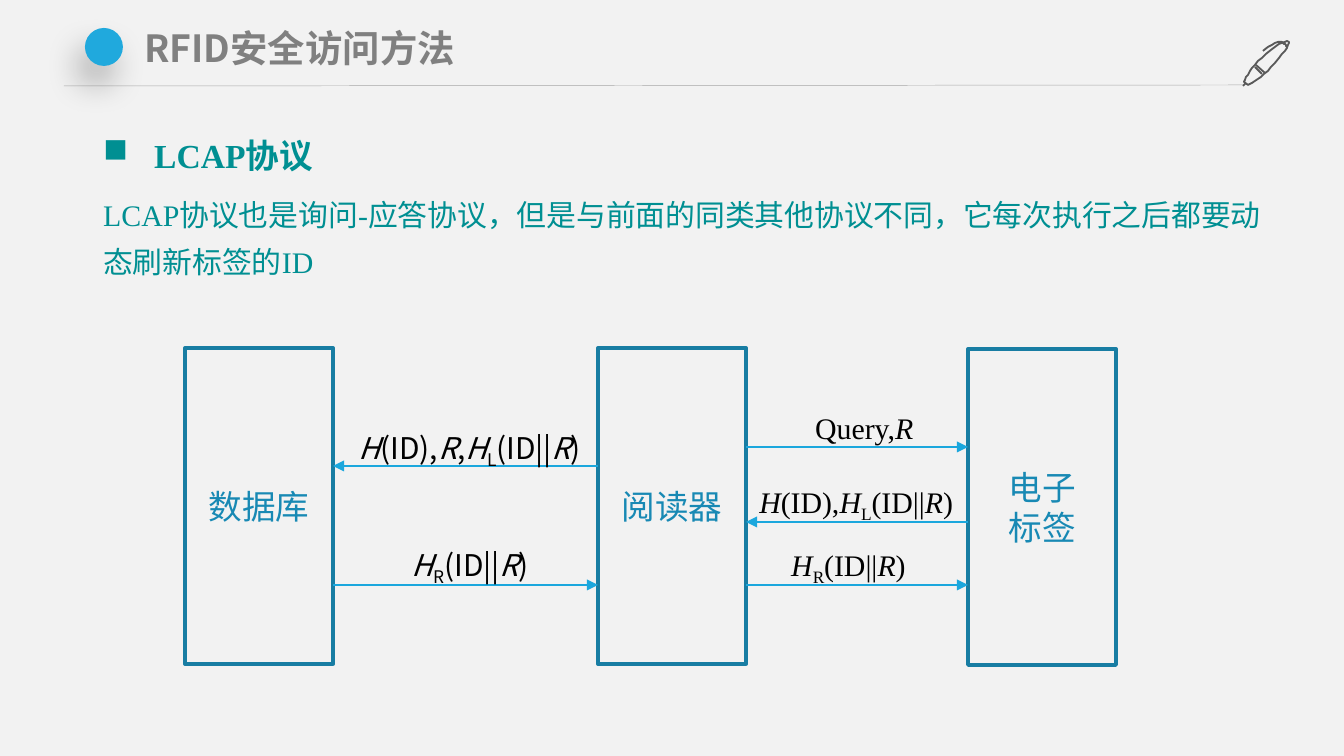
import pptx
import pptx.util
import pptx.dml.color
import pptx.enum.shapes
import pptx.enum.text
import pptx.oxml
import pptx.oxml.ns

SCALE = 914400 / 134.4  # EMU in one px
COLORS = {
    "page": "F2F2F2", "rule": "A6A6A6", "pen": "595959", "dot": "20A9DD",
    "title": "808080", "body": "008F92", "border": "187DA3",
    "node": "1889B4", "arrow": "1BA7DD", "label": "000000",
}
SANS, SERIF = "Noto Sans CJK SC", "Times New Roman"
CENTER = pptx.enum.text.PP_ALIGN.CENTER
LEFT = pptx.enum.text.PP_ALIGN.LEFT
SHAPES = pptx.enum.shapes.MSO_SHAPE

# Message pieces: (text, style)
HASH_ID = [("H", "italic"), ("(ID),", "")]
ID_AND_R = [("(ID||", ""), ("R", "italic"), (")", "")]
HASH_LEFT = [("H", "italic"), ("L", "sub")] + ID_AND_R
HASH_RIGHT = [("H", "italic"), ("R", "sub")] + ID_AND_R


def px(value):
    return pptx.util.Emu(round(value * SCALE))


def rgb(name):
    return pptx.dml.color.RGBColor.from_string(COLORS[name])


def add_xml(parent, xml):
    namespaces = pptx.oxml.ns.nsdecls("a")
    parent.append(pptx.oxml.parse_xml(xml.replace(" ", f" {namespaces} ", 1)))


def style_span(span, size, face, color, bold=False):
    font = span.font
    font.size, font.name, font.bold = pptx.util.Pt(size), face, bold
    font.color.rgb = rgb(color)
    add_xml(span._r.get_or_add_rPr(), f'<a:ea typeface="{SANS}"/>')


def add_text_box(page, left, top, width, height, wrap=True):
    box = page.shapes.add_textbox(px(left), px(top), px(width), px(height))
    box.text_frame.word_wrap = wrap
    box.text_frame.auto_size = pptx.enum.text.MSO_AUTO_SIZE.SHAPE_TO_FIT_TEXT
    return box


def add_line(page, x1, y1, x2, y2, color, width, arrow=False):
    line = page.shapes.add_connector(
        pptx.enum.shapes.MSO_CONNECTOR.STRAIGHT, px(x1), px(y1), px(x2), px(y2))
    line.line.color.rgb = rgb(color)
    line.line.width = pptx.util.Pt(width)
    if arrow:
        add_xml(line.line._get_or_add_ln(), '<a:tailEnd type="triangle"/>')
    add_xml(line._element.spPr, "<a:effectLst />")


def curve(start, first, second, end, steps=8):
    """Points along a cubic curve, without its start."""
    points = []
    for step in range(1, steps + 1):
        t = step / steps
        weights = ((1 - t) ** 3, 3 * t * (1 - t) ** 2, 3 * t * t * (1 - t), t ** 3)
        points.append(tuple(
            sum(weight * point[axis] for weight, point
                in zip(weights, (start, first, second, end)))
            for axis in (0, 1)))
    return points


def add_pen(page, left, top):
    barrel = [(46, 3), *curve((46, 3), (43, 0), (31, 7), (19, 19)),
              *curve((19, 19), (9, 28), (3, 38), (1, 43)), (5, 46),
              *curve((5, 46), (9, 44), (19, 38), (28, 28)),
              *curve((28, 28), (40, 16), (47, 5), (46, 3))]
    clip = [(44, 8), *curve((44, 8), (44, 8), (42, 5), (39, 3)),
            *curve((39, 3), (39, 3), (34, 0), (20, 12))]
    bands_and_tip = [[(19, 35), (12, 28)], [(13, 26), (22, 34)], [(3, 44), (0, 47)]]
    builder = page.shapes.build_freeform(*barrel[0], scale=SCALE)
    builder.add_line_segments(barrel[1:], close=True)
    for stroke in [clip, *bands_and_tip]:
        builder.move_to(*stroke[0])
        builder.add_line_segments(stroke[1:], close=False)
    pen = builder.convert_to_shape(px(left), px(top))
    pen.shadow.inherit = False
    pen.fill.background()
    pen.line.color.rgb = rgb("pen")
    pen.line.width = pptx.util.Pt(1)


def add_header(page, left, top):
    # Rule and pen
    add_line(page, left, top + 72, left + 1179, top + 71, "rule", 0.25)
    add_pen(page, left + 1179, top + 25)

    # Dot with a soft shadow
    dot = page.shapes.add_shape(
        SHAPES.OVAL, px(left + 21), px(top + 14), px(38), px(38))
    dot.fill.solid()
    dot.fill.fore_color.rgb = rgb("dot")
    dot.line.fill.background()
    add_xml(dot._element.spPr, (
        f'<a:effectLst ><a:outerShdw blurRad="{pptx.util.Pt(18)}" '
        f'dist="{pptx.util.Pt(11)}" dir="{113 * 60000}" algn="ctr" rotWithShape="0">'
        '<a:srgbClr val="000000"><a:alpha val="27000"/></a:srgbClr>'
        '</a:outerShdw></a:effectLst>'))

    # Title
    box = add_text_box(page, left + 68, top + 5, 1111, 58)
    frame = box.text_frame
    frame.margin_left = frame.margin_right = px(12)
    frame.margin_top = frame.margin_bottom = px(6)
    frame.text = "RFID安全访问方法"
    style_span(frame.paragraphs[0].runs[0], 20, SANS, "title", bold=True)


def add_body(page, left, top, width, height):
    frame = add_text_box(page, left, top, width, height).text_frame
    heading, detail = frame.paragraphs[0], frame.add_paragraph()
    heading.text = "LCAP协议"
    detail.text = ("LCAP协议也是询问-应答协议，但是与前面的同类其他协议不同，"
                   "它每次执行之后都要动态刷新标签的ID")
    for para in (heading, detail):
        para.line_spacing = 1.3
        para.space_after = pptx.util.Pt(3)
    detail.space_before = pptx.util.Pt(3)

    # Bullet of the heading
    properties = heading._p.get_or_add_pPr()
    properties.set("marL", str(px(51)))
    properties.set("indent", str(-px(51)))
    add_xml(properties, '<a:buChar char="■"/>')

    style_span(heading.runs[0], 18, SERIF, "body", bold=True)
    style_span(detail.runs[0], 16, SERIF, "body")


def add_node(page, left, top, width, height, text):
    node = page.shapes.add_shape(
        SHAPES.RECTANGLE, px(left), px(top), px(width), px(height))
    node.shadow.inherit = False
    node.fill.background()
    node.line.color.rgb = rgb("border")
    node.line.width = pptx.util.Pt(2)
    frame = node.text_frame
    frame.vertical_anchor = pptx.enum.text.MSO_ANCHOR.MIDDLE
    frame.text = text
    for para in frame.paragraphs:
        para.alignment = CENTER
        style_span(para.runs[0], 18, SANS, "node")


def add_message(page, left, top, width, pieces, face, alignment):
    frame = add_text_box(page, left, top, width, 50, wrap=False).text_frame
    para = frame.paragraphs[0]
    para.alignment = alignment
    for text, style in pieces:
        span = para.add_run()
        span.text = text
        style_span(span, 16, face, "label")
        span.font.italic = style == "italic"
        if style == "sub":
            span._r.get_or_add_rPr().set("baseline", "-25000")


def add_protocol(page, left, top):
    # Three parties
    width, height = 148, 316
    database, reader, tag = left, left + 413, left + 783
    add_node(page, database, top, width, height, "数据库")
    add_node(page, reader, top, width, height, "阅读器")
    add_node(page, tag, top + 1, width, height, "电子\n标签")

    # Messages: start, end, arrow y, label x, label y, label width, pieces, face, alignment
    messages = [
        (reader, database + width, 118, 148, 75, 274,
         HASH_ID + [("R", "italic"), (",", "")] + HASH_LEFT, SANS, CENTER),
        (database + width, reader, 237, 201, 192, 169, HASH_RIGHT, SANS, CENTER),
        (reader + width, tag, 99, 617, 55, 128,
         [("Query,", ""), ("R", "italic")], SERIF, LEFT),
        (tag, reader + width, 174, 561, 129, 233, HASH_ID + HASH_LEFT, SERIF, LEFT),
        (reader + width, tag, 237, 593, 192, 146, HASH_RIGHT, SERIF, LEFT),
    ]
    for start, end, y, label_x, label_y, label_width, pieces, face, alignment in messages:
        add_line(page, start, top + y, end, top + y, "arrow", 1, arrow=True)
        add_message(page, left + label_x, top + label_y, label_width,
                    pieces, face, alignment)


def main():
    deck = pptx.Presentation()
    deck.slide_width, deck.slide_height = px(1344), px(756)
    page = deck.slides.add_slide(deck.slide_layouts[6])
    page.background.fill.solid()
    page.background.fill.fore_color.rgb = rgb("page")
    add_header(page, 64, 14)
    add_body(page, 90, 116, 1207, 167)
    add_protocol(page, 185, 348)
    deck.save("out.pptx")


if __name__ == "__main__":
    main()
